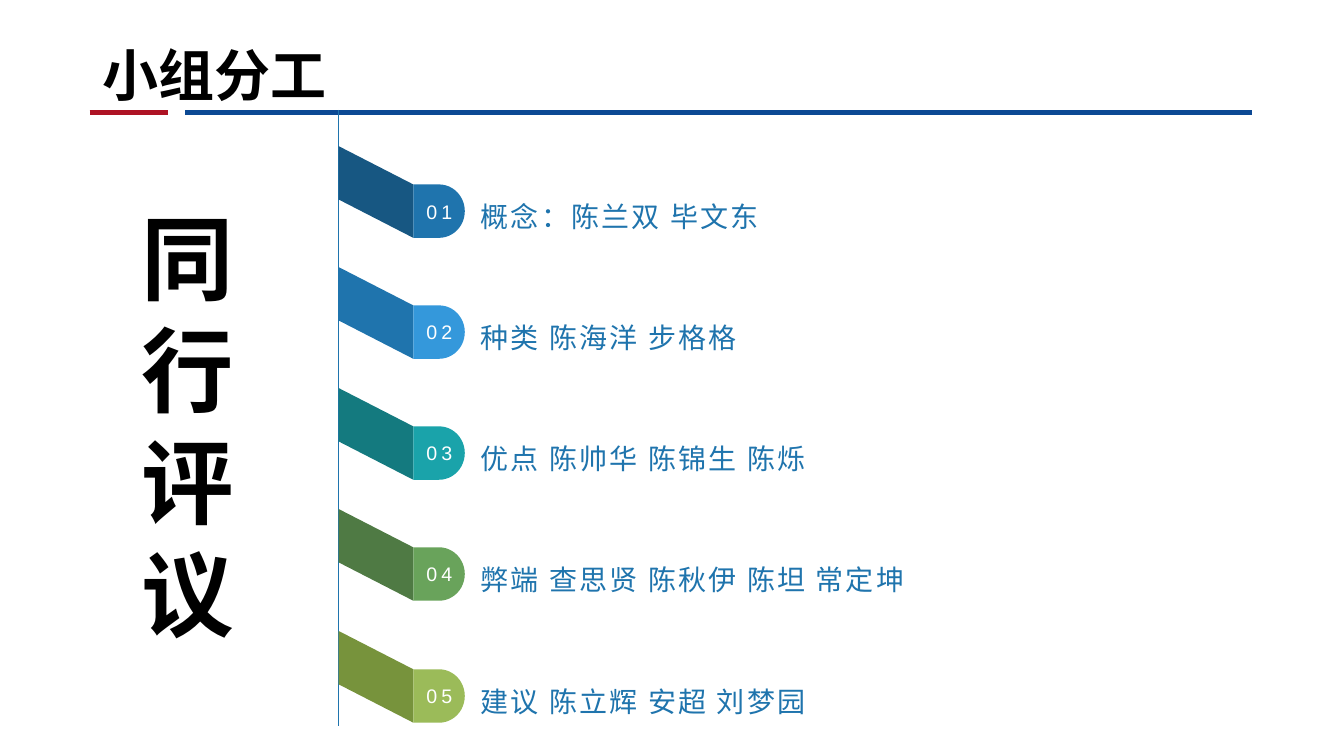
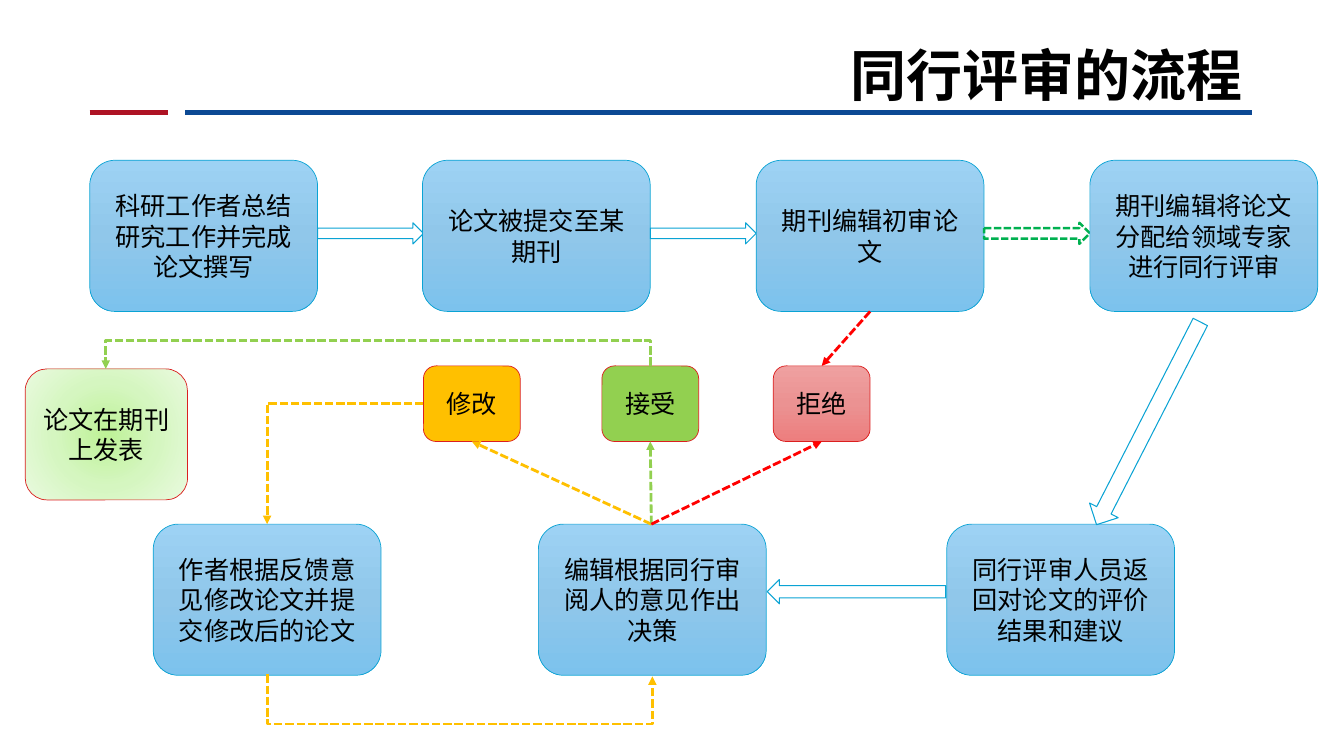
from pptx import Presentation
from pptx import util as u
from pptx.dml.color import RGBColor
from pptx.enum import dml, shapes, text
from pptx.oxml import parse_xml
from pptx.oxml.ns import nsdecls, qn

PX = 9144
HAN = "Noto Sans CJK SC"
RED, NAVY, BLUE, CYAN = "AE1324", "0C4994", "1F74AD", "0AA3D4"
EDGE, GOLD, LIME, STOP = "DB1F1F", "FFC000", "92D050", "FF0000"
SKY = ("9DD2F4", "90C7EA", "7CC2ED")
ROSE = ("EFA0A0", "EB9292", "ED7E7E")
MINT = ("BEF297", "D5F6C0", "EAFAE0")
GEO = shapes.MSO_SHAPE
LEFT, MID, RIGHT = (text.PP_ALIGN.LEFT, text.PP_ALIGN.CENTER,
                    text.PP_ALIGN.RIGHT)
TOP, CORE, BASE = (text.MSO_ANCHOR.TOP, text.MSO_ANCHOR.MIDDLE,
                   text.MSO_ANCHOR.BOTTOM)


def px(*nums):
    return [u.Emu(round(n * PX)) for n in nums]


def hue(code):
    return RGBColor.from_string(code)


def write(shape, words, size=18, color="000000", font="Arial", bold=False,
          align=LEFT, anchor=CORE, lead=1.21, gap=0, wrap=True, inset=None):
    """Fill a shape with one paragraph per line; lead is in ems."""
    frame = shape.text_frame
    frame.word_wrap = wrap
    frame.vertical_anchor = anchor
    if inset:
        (frame.margin_left, frame.margin_top,
         frame.margin_right, frame.margin_bottom) = px(*inset)
    for i, line in enumerate(words.split("\n")):
        para = frame.paragraphs[0] if i == 0 else frame.add_paragraph()
        para.alignment = align
        para.line_spacing = u.Pt(round(size * lead, 1))
        run = para.add_run()
        run.text = line
        run.font.size, run.font.bold = u.Pt(size), bold
        run.font.name = font
        run.font.color.rgb = hue(color)
        props = run._r.get_or_add_rPr()
        if gap:
            props.set("spc", str(int(gap * 100)))
        props.append(parse_xml(f'<a:ea {nsdecls("a")} typeface="{HAN}"/>'))


def label(slide, box, words, **style):
    write(slide.shapes.add_textbox(*px(*box)), words, **style)


def blend(shape, stops, round_=False):
    """Give a shape a three-stop gradient, downward or from its centre."""
    shape.fill.gradient()
    grad = shape._element.spPr.find(qn("a:gradFill"))
    marks = "".join(
        f'<a:gs pos="{i * 50000}"><a:srgbClr val="{c}"/></a:gs>'
        for i, c in enumerate(stops))
    way = ('<a:path path="circle"><a:fillToRect l="50000" t="50000" '
           'r="50000" b="50000"/></a:path>' if round_
           else '<a:lin ang="5400000" scaled="0"/>')
    grad.getparent().replace(grad, parse_xml(
        f'<a:gradFill {nsdecls("a")} rotWithShape="1">'
        f'<a:gsLst>{marks}</a:gsLst>{way}</a:gradFill>'))


def paint(shape, fill=None, line=None, width=0.5):
    shape.shadow.inherit = False
    if fill:
        shape.fill.solid()
        shape.fill.fore_color.rgb = hue(fill)
    else:
        shape.fill.background()
    if line:
        shape.line.color.rgb = hue(line)
        shape.line.width = u.Pt(width)
    else:
        shape.line.fill.background()
    return shape


def link(slide, start, end, color, width=2, arrow=True, bent=False):
    """Draw a plain rule, or a dashed arrow."""
    kind = shapes.MSO_CONNECTOR
    conn = slide.shapes.add_connector(
        kind.ELBOW if bent else kind.STRAIGHT, *px(*start, *end))
    conn.line.color.rgb = hue(color)
    conn.line.width = u.Pt(width)
    props = conn._element.spPr
    if arrow:
        conn.line.dash_style = dml.MSO_LINE.SQUARE_DOT
        props.find(qn("a:ln")).append(
            parse_xml(f'<a:tailEnd {nsdecls("a")} type="triangle"/>'))
    props.append(parse_xml(f'<a:effectLst {nsdecls("a")}/>'))
    return conn


def turn(slide, start, end, color):
    """Arrow that runs sideways, then down."""
    conn = link(slide, start, end, color, bent=True)
    conn._element.spPr.find(qn("a:prstGeom")).set("prst", "bentConnector2")


def loop(slide, start, end, level, color):
    """Arrow that leaves upright, crosses at the level and comes back."""
    (ax, ay), (bx, by) = start, end
    wide, high = by - ay, abs(bx - ax)
    left, top = (ax + bx - wide) / 2, (ay + by - high) / 2
    conn = link(slide, (left, top), (left + wide, top + high), color,
                bent=True)
    props = conn._element.spPr
    form = props.find(qn("a:xfrm"))
    form.set("rot", "16200000")
    form.set("flipH", "1")
    if bx < ax:
        form.set("flipV", "1")
    geom = props.find(qn("a:prstGeom"))
    for old in list(geom):
        geom.remove(old)
    bend = round((level - ay) / wide * 100000)
    geom.append(parse_xml(f'<a:avLst {nsdecls("a")}>'
                          f'<a:gd name="adj1" fmla="val {bend}"/></a:avLst>'))


def block(slide, box, words, fill=SKY, line=CYAN, round_=False):
    shape = slide.shapes.add_shape(GEO.ROUNDED_RECTANGLE, *px(*box))
    paint(shape, line=line)
    if isinstance(fill, str):
        paint(shape, fill, line)
    else:
        blend(shape, fill, round_)
    write(shape, words, align=MID)


def arrow(slide, box, angle=0, color=CYAN, width=0.75, dash=False):
    shape = slide.shapes.add_shape(GEO.RIGHT_ARROW, *px(*box))
    paint(shape, line=color, width=width)
    shape.rotation = angle
    if dash:
        shape.line.dash_style = dml.MSO_LINE.SQUARE_DOT


def page(deck, title, align=LEFT):
    """Add a slide with the two-colour rule and its title."""
    slide = deck.slides.add_slide(deck.slide_layouts[6])
    for x, end, color in ((89, 167, RED), (184, 1242, NAVY)):
        link(slide, (x, 112), (end, 112), color, 3.5, arrow=False)
    label(slide, (92, 0, 1150, 112), title, size=40, font="Arial Narrow",
          bold=True, align=align, anchor=BASE)
    return slide


def ribbon(slide, x, y, num, words, dark, light):
    """Folded band, numbered tab and its caption."""
    fold, high, drop = 74, 53, 38
    path = slide.shapes.build_freeform(x, y, scale=PX)
    path.add_line_segments([(x + fold, y + drop), (x + fold, y + drop + high),
                            (x, y + high)], close=True)
    paint(path.convert_to_shape(), dark)
    tab = slide.shapes.add_shape(
        GEO.FLOWCHART_DELAY, *px(x + fold, y + drop, 51, high))
    write(paint(tab, light), f"{num:02}", size=14, color="FFFFFF", gap=3,
          align=MID, wrap=False, inset=(8, 0, 0, 0))
    label(slide, (x + 131, y + 35, 720, 59), words, size=20, color=BLUE,
          gap=1.5, lead=1.6)


def team(deck):
    slide = page(deck, "小组分工")
    x = 336
    link(slide, (x, 109), (x, 720), BLUE, 0.5, arrow=False)
    rows = (("概念：陈兰双 毕文东", "175782", BLUE),
            ("种类 陈海洋 步格格", BLUE, "3498DB"),
            ("优点 陈帅华 陈锦生 陈烁", "147A7F", "1AA3AA"),
            ("弊端 查思贤 陈秋伊 陈坦 常定坤", "4F7A44", "69A35B"),
            ("建议 陈立辉 安超 刘梦园", "77933C", "9BBB59"))
    for i, (words, dark, light) in enumerate(rows):
        ribbon(slide, x, 145 + i * 481 // 4, i + 1, words, dark, light)
    label(slide, (131, 194, 112, 454), "同\n行\n评\n议", size=66, font=HAN,
          bold=True, anchor=TOP, wrap=False)


def flow(deck):
    slide = page(deck, "同行评审的流程", RIGHT)
    wide, high, row, low = 226, 150, 159, 520
    steps = ("科研工作者总结研究工作并完成论文撰写", "论文被提交至某期刊",
             "期刊编辑初审论文", "期刊编辑将论文分配给领域专家进行同行评审")
    for i, words in enumerate(steps):
        x = 89 + i * 992 // 3
        block(slide, (x, row, wide, high), words)
        if i < 3:
            last = i == 2
            arrow(slide, (x + wide, 221, 105, 21), dash=last,
                  color="00B050" if last else CYAN,
                  width=1.75 if last else 0.75)
    for x, words in ((152, "作者根据反馈意见修改论文并提交修改后的论文"),
                     (534, "编辑根据同行审阅人的意见作出决策"),
                     (939, "同行评审人员返回对论文的评价结果和建议")):
        block(slide, (x, low, wide, high), words)
    arrow(slide, (1026, 404, 226, 32), 117.1)
    arrow(slide, (761, 575, 177, 24), 180)
    for x, words, fill, color in ((420, "修改", GOLD, GOLD),
                                  (597, "接受", LIME, LIME),
                                  (767, "拒绝", ROSE, STOP)):
        block(slide, (x, 363, 96, 75), words, fill, EDGE)
        link(slide, (646, low), (x + 48, 438), color)
    block(slide, (25, 366, 161, 130), "论文在期刊上发表", MINT, EDGE, True)
    link(slide, (863, row + high), (815, 363), STOP)
    turn(slide, (420, 400), (265, low), GOLD)
    loop(slide, (265, 669), (647, 671), 718, GOLD)
    loop(slide, (645, 363), (105, 366), 338, LIME)


def main():
    deck = Presentation()
    deck.slide_width, deck.slide_height = px(1333, 750)
    team(deck)
    flow(deck)
    deck.save("out.pptx")


if __name__ == "__main__":
    main()
